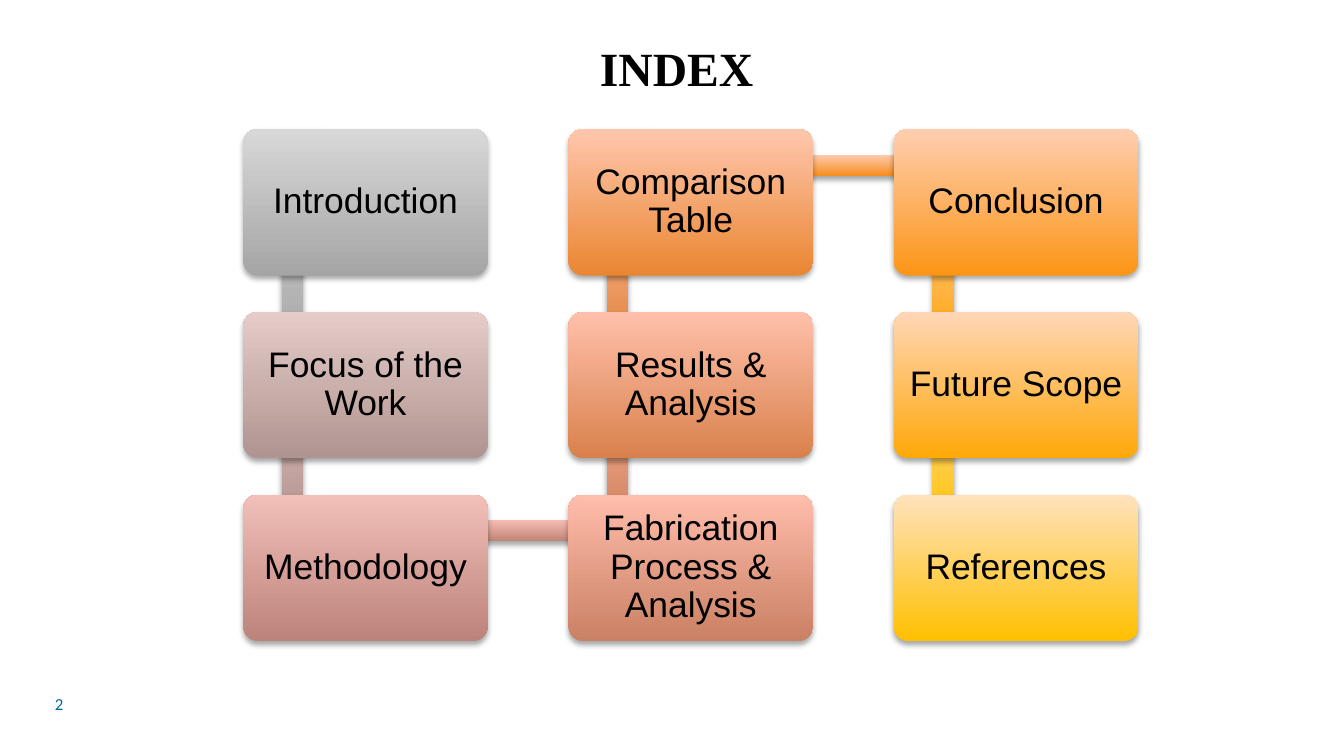
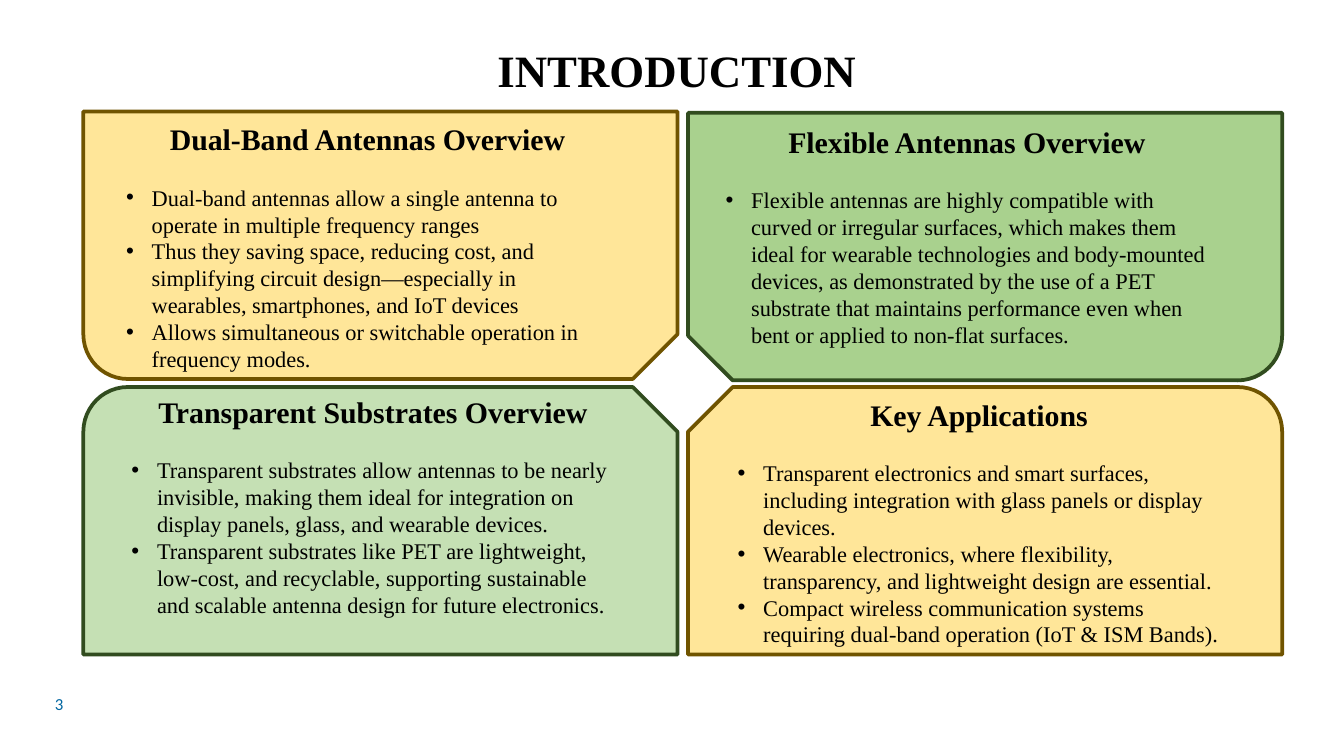
"""Build the index and introduction slides of an antenna project deck."""
import lxml.etree
import pptx
import pptx.dml.color
import pptx.enum.shapes
import pptx.enum.text
import pptx.oxml.ns
import pptx.util

Inches = pptx.util.Inches
Pt = pptx.util.Pt
RGBColor = pptx.dml.color.RGBColor
SHAPE = pptx.enum.shapes.MSO_SHAPE
ALIGN = pptx.enum.text.PP_ALIGN
ANCHOR = pptx.enum.text.MSO_ANCHOR
qn = pptx.oxml.ns.qn

SERIF, SANS, PLAIN = "Times New Roman", "Arial", "Calibri"
BLACK = RGBColor(0, 0, 0)
BLUE = RGBColor(0x00, 0x66, 0xA1)
SAND = RGBColor(0xFF, 0xE6, 0x99)
BROWN = RGBColor(0x70, 0x54, 0x00)
MINT = RGBColor(0xC5, 0xE0, 0xB4)
LEAF = RGBColor(0xA9, 0xD1, 0x8E)
PINE = RGBColor(0x31, 0x4C, 0x1F)


def shades(text):
    """Turn a row of hex codes into colours."""
    return [RGBColor.from_string(code) for code in text.split()]


BOX_LOW = shades("A5A5A5 B09491 BC837B CA8064 D9814C EA8631 FC9516 FFA809 FFC000")
BOX_TOP = shades("D8D8D8 E5CCC8 F2BFB9 FFBDAB FFC0AB FFC6AD FFCEB0 FFD6B6 FFE2BD")
BAR_LOW = shades("A5A5A5 B1918E C08475 D0805A E2833D F78E1E FFA50B FFC000")
BAR_TOP = shades("D8D8D8 E7CAC6 F6BCB4 FFBEAB FFC3AC FFCBAF FFD4B5 FFE2BD")

STEPS = ["Introduction", "Focus of the Work", "Methodology",
         "Fabrication Process & Analysis", "Results & Analysis",
         "Comparison Table", "Conclusion", "Future Scope", "References"]

PANELS = [
    ((0.62, 2.88), "", MINT, PINE, (0.88, 2.88), "Transparent Substrates Overview", [
        "Transparent substrates allow antennas to be nearly invisible, making them "
        "ideal for integration on display panels, glass, and wearable devices.",
        "Transparent substrates like PET are lightweight, low-cost, and recyclable, "
        "supporting sustainable and scalable antenna design for future electronics."]),
    ((0.62, 0.83), "V", SAND, BROWN, (0.84, 0.85), "Dual-Band Antennas Overview", [
        "Dual-band antennas allow a single antenna to operate in multiple "
        "frequency ranges",
        "Thus they saving space, reducing cost, and simplifying circuit "
        "design—especially in wearables, smartphones, and IoT devices",
        "Allows simultaneous or switchable operation in frequency modes."]),
    ((5.12, 0.84), "HV", LEAF, PINE, (5.3, 0.87), "Flexible Antennas Overview", [
        "Flexible antennas are highly compatible with curved or irregular surfaces, "
        "which makes them ideal for wearable technologies and body-mounted devices, "
        "as demonstrated by the use of a PET substrate that maintains performance "
        "even when bent or applied to non-flat surfaces."]),
    ((5.12, 2.88), "H", SAND, BROWN, (5.39, 2.9), "Key Applications", [
        "Transparent electronics and smart surfaces, including integration with "
        "glass panels or display devices.",
        "Wearable electronics, where flexibility, transparency, and lightweight "
        "design are essential.",
        "Compact wireless communication systems requiring dual-band operation "
        "(IoT & ISM Bands)."]),
]


def write(frame, text, font=SERIF, size=12, color=BLACK, bold=False,
          align=ALIGN.LEFT, space=None, after=0, bullet=False):
    """Add one formatted paragraph to a text frame."""
    para = frame.paragraphs[0]
    if para.runs:
        para = frame.add_paragraph()
    para.alignment = align
    para.space_after = Pt(after)
    if space:
        para.line_spacing = space
    if bullet:
        props = para._p.get_or_add_pPr()
        props.set("marL", str(Inches(0.19)))
        props.set("indent", str(Inches(-0.19)))
        lxml.etree.SubElement(props, qn("a:buFont"), typeface="Arial")
        lxml.etree.SubElement(props, qn("a:buChar"), char="•")
    run = para.add_run()
    run.text = text
    run.font.name = font
    run.font.size = Pt(size)
    run.font.bold = bold
    run.font.color.rgb = color


def area(slide, box, anchor=ANCHOR.TOP):
    """Add a wrapping text box and return its frame."""
    frame = slide.shapes.add_textbox(*map(Inches, box)).text_frame
    frame.word_wrap = True
    frame.vertical_anchor = anchor
    return frame


def block(slide, kind, box, low, top):
    """Add a preset shape with an upright gradient and a soft shadow."""
    shape = slide.shapes.add_shape(kind, *map(Inches, box))
    shape.line.fill.background()
    shape.fill.gradient()
    shape.fill.gradient_angle = 90
    for stop, color in zip(shape.fill.gradient_stops, (low, top)):
        stop.color.rgb = color
    props = shape._element.spPr
    props.find(qn("a:gradFill")).set("rotWithShape", "0")
    shape.shadow.inherit = False
    glow = lxml.etree.SubElement(
        props.find(qn("a:effectLst")), qn("a:outerShdw"), blurRad=str(Pt(3.1)),
        dist=str(Pt(1.8)), dir="5400000", rotWithShape="0")
    tint = lxml.etree.SubElement(glow, qn("a:srgbClr"), val="000000")
    lxml.etree.SubElement(tint, qn("a:alpha"), val="35000")
    return shape


def base(deck, title, size, number):
    """Add a blank slide with its title and slide number."""
    slide = deck.slides.add_slide(deck.slide_layouts[6])
    write(area(slide, (0.35, 0.32, 9.37, 0.45), ANCHOR.BOTTOM), title,
          size=size, bold=True, align=ALIGN.CENTER, space=0.9)
    write(area(slide, (0.31, 5.09, 0.53, 0.3), ANCHOR.MIDDLE), str(number),
          font=PLAIN, size=9, color=BLUE)
    return slide


def snake(slide, left, top):
    """Draw the steps down, up and down three columns, joined by bars."""
    wide, high, thick = 1.82, 1.09, 0.16
    across, down = 2.42, 1.36
    spots = []
    for index in range(len(STEPS)):
        col, row = divmod(index, 3)
        row = 2 - row if col % 2 else row
        spots.append((left + col * across, top + row * down))
    for start, end, low, tone in zip(spots, spots[1:], BAR_LOW, BAR_TOP):
        x, y = start
        if end[0] > x:
            block(slide, SHAPE.RECTANGLE, (x + 0.37, y + 0.19, 2.41, thick),
                  low, tone)
        else:
            y = min(y, end[1])
            bar = block(slide, SHAPE.RECTANGLE, (x - 0.31, y + 0.87, 1.35, thick),
                        low, tone)
            bar.rotation = 90 if end[1] > start[1] else 270
    for (x, y), text, low, tone in zip(spots, STEPS, BOX_LOW, BOX_TOP):
        card = block(slide, SHAPE.ROUNDED_RECTANGLE, (x, y, wide, high), low, tone)
        card.adjustments[0] = 0.1
        inner = (x + 0.03, y + 0.03, wide - 0.06, high - 0.06)
        frame = area(slide, inner, ANCHOR.MIDDLE)
        frame.margin_left = frame.margin_right = Inches(0.07)
        frame.margin_top = frame.margin_bottom = Inches(0.08)
        write(frame, text, font=SANS, size=19, align=ALIGN.CENTER, space=0.9)


def panel(slide, spot, flip, fill, line):
    """Draw one quadrant whose snipped corner faces the centre."""
    shape = slide.shapes.add_shape(
        SHAPE.SNIP_ROUND_RECTANGLE, *map(Inches, (*spot, 4.42, 1.99)))
    shape.shadow.inherit = False
    shape.fill.solid()
    shape.fill.fore_color.rgb = fill
    shape.line.color.rgb = line
    shape.line.width = Pt(2)
    for side in flip:
        shape._element.spPr.xfrm.set("flip" + side, "1")


def topic(slide, spot, head, points):
    """Write a heading and its bullet points."""
    frame = area(slide, (*spot, 3.79, 1.99))
    write(frame, head, size=16, bold=True, align=ALIGN.CENTER, after=14.5)
    for point in points:
        write(frame, point, bullet=True)


def main():
    """Build both slides and save the deck."""
    deck = pptx.Presentation()
    deck.slide_width = Inches(10)
    deck.slide_height = Inches(10 * 9 / 16)
    snake(base(deck, "INDEX", 25.5, 2), 1.81, 0.96)
    slide = base(deck, "INTRODUCTION", 24, 3)
    for spot, flip, fill, line, *_ in PANELS:
        panel(slide, spot, flip, fill, line)
    for *_, spot, head, points in PANELS:
        topic(slide, spot, head, points)
    deck.save("out.pptx")


if __name__ == "__main__":
    main()
